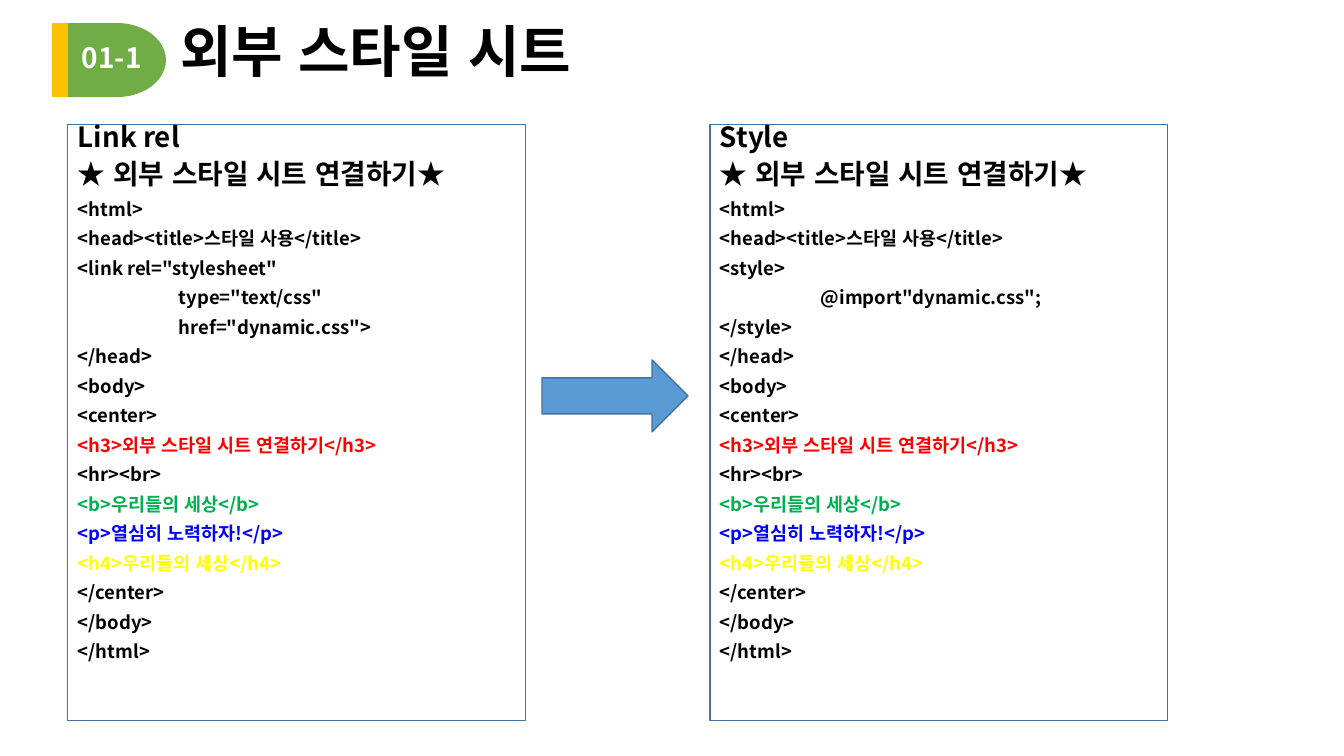
from lxml import etree
from pptx import Presentation
from pptx.dml.color import RGBColor
from pptx.enum.shapes import MSO_SHAPE as Shape
from pptx.enum.text import MSO_ANCHOR as Anchor, MSO_AUTO_SIZE as AutoSize, PP_ALIGN as Align
from pptx.oxml.ns import qn
from pptx.util import Pt

TITLE = "외부 스타일 시트"
BADGE = "01-1"
HEADING = "★ 외부 스타일 시트 연결하기★"
OPENING = ["<html>", "<head><title>스타일 사용</title>"]
CLOSING = [
    "</head>",
    "<body>",
    "<center>",
    "<h3>외부 스타일 시트 연결하기</h3>",
    "<hr><br>",
    "<b>우리들의 세상</b>",
    "<p>열심히 노력하자!</p>",
    "<h4>우리들의 세상</h4>",
    "</center>",
    "</body>",
    "</html>",
]
PANELS = [
    ("Link rel", 68, ['<link rel="stylesheet"', '\ttype="text/css"', '\thref="dynamic.css">']),
    ("Style", 710, ["<style>", '\t@import"dynamic.css";', "</style>"]),
]
COLORS = {
    "black": "000000", "white": "FFFFFF", "green": "70AD47", "amber": "FFC000",
    "blue": "5B9BD5", "outline": "43739E",
    "<h3>": "FF0000", "<b>": "00B050", "<p>": "0000FF", "<h4>": "FFFF00",
}
CODE_FONT = "Noto Sans CJK KR"
TITLE_FONT = "Arial"
TAB_WIDTH = 101
WIDTH, HEIGHT = 1344, 756
SCALE = 12192000 / WIDTH


def emu(*lengths):
    return [round(length * SCALE) for length in lengths]


def color(name):
    return RGBColor.from_string(COLORS[name])


def set_font(paragraph, size, color_name, name=CODE_FONT):
    font = paragraph.font
    font.name, font.size, font.bold = name, Pt(size), True
    font.color.rgb = color(color_name)
    east_asian = etree.Element(qn("a:ea"), typeface=TITLE_FONT)
    font._element.find(qn("a:latin")).addnext(east_asian)


def add_block(slide, kind, box, fill=None, line_width=None):
    shape = slide.shapes.add_shape(kind, *emu(*box))
    shape.shadow.inherit = False
    if fill:
        shape.fill.solid()
        shape.fill.fore_color.rgb = color(fill)
    else:
        shape.fill.background()
    if line_width:
        shape.line.color.rgb = color("outline")
        shape.line.width = Pt(line_width)
    else:
        shape.line.fill.background()
    return shape


def add_panel(slide, name, left, link_lines):
    panel = add_block(slide, Shape.RECTANGLE, (left, 124, 458, 597), line_width=0.75)
    frame = panel.text_frame
    frame.word_wrap = True
    frame.vertical_anchor = Anchor.TOP
    lines = [name, HEADING, *OPENING, *link_lines, *CLOSING]
    for index, text in enumerate(lines):
        paragraph = frame.add_paragraph() if index else frame.paragraphs[0]
        paragraph.text = text
        paragraph.alignment = Align.LEFT
        paragraph.line_spacing = 0.7
        paragraph.space_before = Pt(10)
        paragraph._p.get_or_add_pPr().set("defTabSz", str(*emu(TAB_WIDTH)))
        tag = text.partition(">")[0] + ">"
        set_font(paragraph, 19.8 if index < 2 else 13.2, tag if tag in COLORS else "black")


def main():
    presentation = Presentation()
    presentation.slide_width, presentation.slide_height = emu(WIDTH, HEIGHT)
    slide = presentation.slides.add_slide(presentation.slide_layouts[5])

    add_block(slide, Shape.FLOWCHART_DELAY, (68, 23, 98, 74), "green")
    add_block(slide, Shape.RECTANGLE, (52, 23, 16, 74), "amber")

    badge = slide.shapes.add_textbox(*emu(72, 36, 112, 44)).text_frame
    badge.word_wrap = True
    badge.text = BADGE
    set_font(badge.paragraphs[0], 20, "white")

    title = slide.shapes.title
    title.left, title.top, title.width, title.height = emu(170, 17, 1002, 74)
    frame = title.text_frame
    frame.text = TITLE
    frame.auto_size = AutoSize.NONE
    frame.vertical_anchor = Anchor.MIDDLE
    heading = frame.paragraphs[0]
    heading.alignment = Align.LEFT
    heading.line_spacing = 0.9
    set_font(heading, 40, "black", TITLE_FONT)

    for panel in PANELS:
        add_panel(slide, *panel)
    add_block(slide, Shape.RIGHT_ARROW, (542, 360, 146, 72), "blue", 1)

    presentation.save("out.pptx")


if __name__ == "__main__":
    main()
